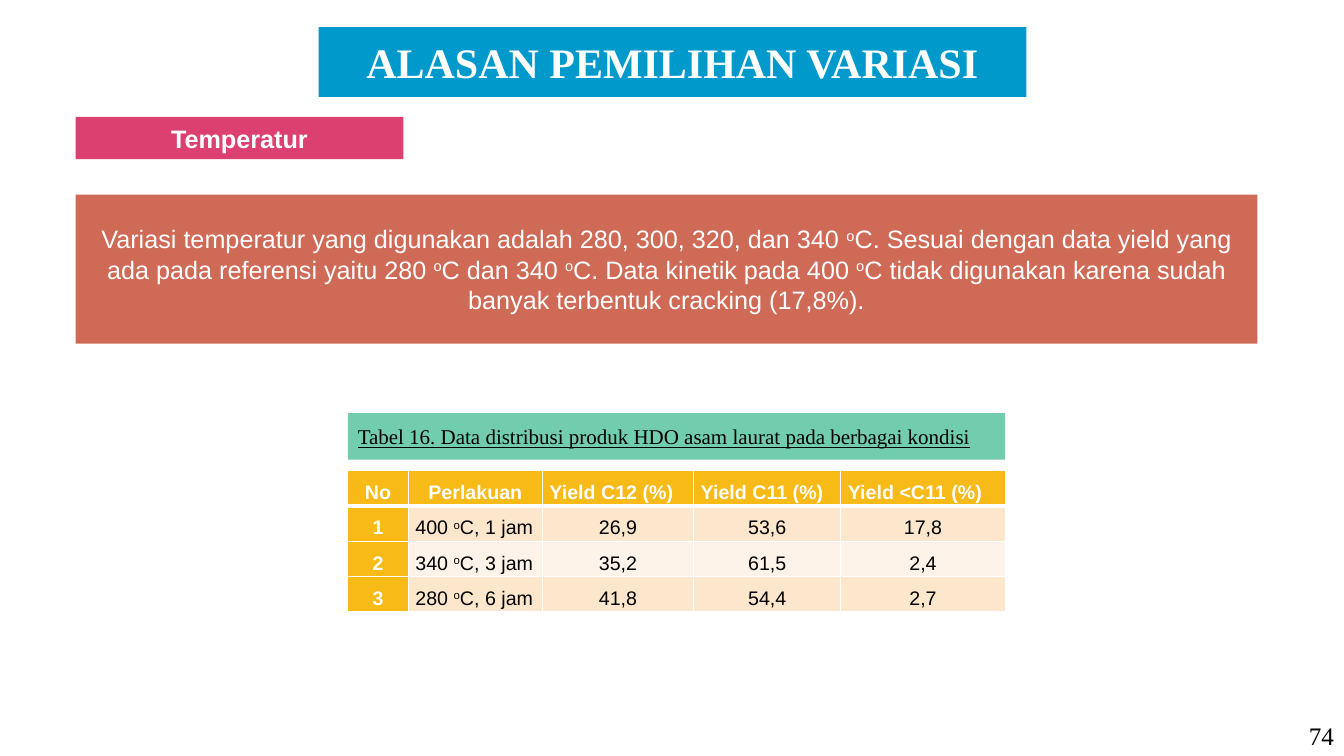
"""Build the slide on the choice of temperature variations."""
import dataclasses
import typing

import lxml.etree
import pptx
import pptx.dml.color
import pptx.enum.shapes
import pptx.enum.text
import pptx.oxml.ns
import pptx.util

Inches = pptx.util.Inches
Align = pptx.enum.text.PP_ALIGN
Anchor = pptx.enum.text.MSO_ANCHOR


@dataclasses.dataclass(frozen=True)
class Theme:
    """Hold the colours, fonts and type sizes."""
    white: str = "FFFFFF"
    black: str = "000000"
    blue: str = "0099CC"
    pink: str = "DC4070"
    rust: str = "CE6A56"
    mint: str = "71CDAE"
    gold: str = "F8BA16"
    peach: str = "FCE7CC"
    cream: str = "FEF3E8"
    sans: str = "Arial"
    serif: str = "Times New Roman"
    title: float = 30
    body: float = 18
    label: float = 15
    cell: float = 14


THEME = Theme()


class Style(typing.NamedTuple):
    """Describe how text looks."""
    size: float
    font: str = THEME.sans
    color: str = THEME.white
    bold: bool = False
    line: bool = False
    align: Align = Align.CENTER


class Box(typing.NamedTuple):
    """Describe a filled rectangle with text."""
    left: float
    top: float
    width: float
    height: float
    fill: str
    text: str
    style: Style


BOXES = (
    Box(3.16, 0.27, 7.02, 0.69, THEME.blue, "ALASAN PEMILIHAN VARIASI",
        Style(THEME.title, THEME.serif, bold=True)),
    Box(0.75, 1.16, 3.25, 0.42, THEME.pink, "Temperatur",
        Style(THEME.body, bold=True)),
    Box(0.75, 1.93, 11.72, 1.48, THEME.rust,
        "Variasi temperatur yang digunakan adalah 280, 300, 320, dan 340 ^o^C. "
        "Sesuai dengan data yield yang ada pada referensi yaitu 280 ^o^C dan "
        "340 ^o^C. Data kinetik pada 400 ^o^C tidak digunakan karena sudah "
        "banyak terbentuk cracking (17,8%).", Style(THEME.body)),
    Box(3.45, 4.1, 6.52, 0.46, THEME.mint,
        "Tabel 16. Data distribusi produk HDO asam laurat pada berbagai kondisi",
        Style(THEME.label, THEME.serif, THEME.black, line=True,
              align=Align.LEFT)),
)
WIDTHS = (0.6, 1.33, 1.5, 1.46, 1.63)
ROWS = (
    ("No", "Perlakuan", "Yield C12 (%)", "Yield C11 (%)", "Yield <C11 (%)"),
    ("1", "400 ^o^C, 1 jam", "26,9", "53,6", "17,8"),
    ("2", "340 ^o^C, 3 jam", "35,2", "61,5", "2,4"),
    ("3", "280 ^o^C, 6 jam", "41,8", "54,4", "2,7"),
)
HIGH = 0.33


def tint(color: str) -> pptx.dml.color.RGBColor:
    """Turn a hex code into a colour."""
    return pptx.dml.color.RGBColor.from_string(color)


def write(frame, text: str, style: Style):
    """Write text run by run, raising the parts between carets."""
    para = frame.paragraphs[0]
    para.alignment = style.align
    for spot, part in enumerate(text.split("^")):
        run = para.add_run()
        run.text = part
        font = run.font
        font.name = style.font
        font.size = pptx.util.Pt(style.size)
        font.bold = style.bold
        font.underline = style.line
        font.color.rgb = tint(style.color)
        if spot % 2:
            run._r.get_or_add_rPr().set("baseline", "30000")
    return para


def draw_box(slide, box: Box) -> None:
    """Draw one filled rectangle."""
    shape = slide.shapes.add_shape(
        pptx.enum.shapes.MSO_SHAPE.RECTANGLE, Inches(box.left),
        Inches(box.top), Inches(box.width), Inches(box.height))
    shape.shadow.inherit = False
    shape.fill.solid()
    shape.fill.fore_color.rgb = tint(box.fill)
    shape.line.fill.background()
    frame = shape.text_frame
    frame.word_wrap = True
    frame.vertical_anchor = Anchor.MIDDLE
    write(frame, box.text, box.style)


def edge(cell, side: str, width: float) -> None:
    """Give one side of a cell a white border."""
    name = pptx.oxml.ns.qn
    line = lxml.etree.SubElement(
        cell._tc.get_or_add_tcPr(), name(f"a:ln{side}"),
        w=str(pptx.util.Pt(width)))
    fill = lxml.etree.SubElement(line, name("a:solidFill"))
    lxml.etree.SubElement(fill, name("a:srgbClr"), val=THEME.white)


def fill_cell(cell, row: int, col: int, text: str) -> None:
    """Format and fill one table cell."""
    head = row == 0 or col == 0
    thick = {0: "B", 1: "T"}.get(row)
    for side in "LRTB":
        edge(cell, side, 3 if side == thick else 1)
    band = THEME.peach if row % 2 else THEME.cream
    cell.fill.solid()
    cell.fill.fore_color.rgb = tint(THEME.gold if head else band)
    cell.margin_left = cell.margin_right = Inches(0.07)
    cell.margin_top = cell.margin_bottom = 0
    left = col > 1 if row == 0 else col == 1
    para = write(cell.text_frame, text, Style(
        THEME.cell, color=THEME.white if head else THEME.black, bold=head,
        align=Align.LEFT if left else Align.CENTER))
    para.line_spacing = 1.5
    para.space_after = pptx.util.Pt(8)


def draw_table(slide) -> None:
    """Draw the yield table."""
    table = slide.shapes.add_table(
        len(ROWS), len(WIDTHS), Inches(3.45), Inches(4.67),
        Inches(sum(WIDTHS)), Inches(HIGH * len(ROWS))).table
    for col, width in zip(table.columns, WIDTHS):
        col.width = Inches(width)
    for row, texts in enumerate(ROWS):
        table.rows[row].height = Inches(HIGH)
        for col, text in enumerate(texts):
            fill_cell(table.cell(row, col), row, col, text)


def draw_page(slide) -> None:
    """Draw the page number."""
    frame = slide.shapes.add_textbox(
        Inches(12.62), Inches(7.1), Inches(0.71), Inches(0.4)).text_frame
    frame.word_wrap = True
    frame.auto_size = pptx.enum.text.MSO_AUTO_SIZE.SHAPE_TO_FIT_TEXT
    write(frame, "74", Style(THEME.body, THEME.serif, THEME.black,
                             align=Align.RIGHT))


def main() -> None:
    """Build and save the deck."""
    deck = pptx.Presentation()
    deck.slide_width = Inches(13.33)
    deck.slide_height = Inches(7.5)
    slide = deck.slides.add_slide(deck.slide_layouts[6])
    draw_page(slide)
    for box in BOXES:
        draw_box(slide, box)
    draw_table(slide)
    deck.save("out.pptx")


if __name__ == "__main__":
    main()
